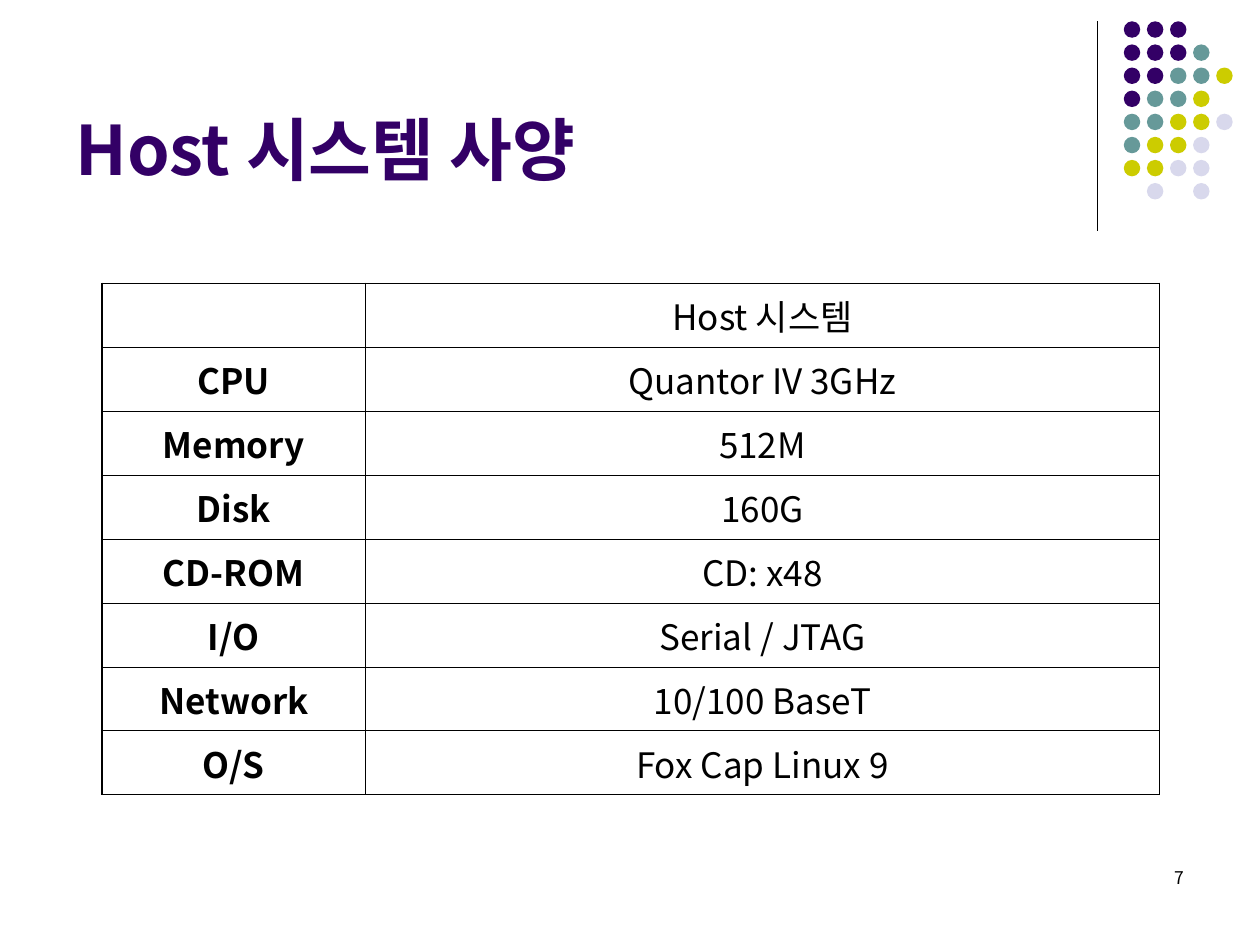
from pptx import Presentation
from pptx.dml.color import RGBColor
from pptx.enum import shapes, text
from pptx.oxml import ns
from pptx.util import Pt
from lxml import etree

FONT = "Noto Sans CJK KR"
BLACK = RGBColor(0, 0, 0)
PURPLE = RGBColor(0x33, 0x00, 0x66)
TEAL = RGBColor(0x66, 0x99, 0x99)
OLIVE = RGBColor(0xCC, 0xCC, 0x00)
LILAC = RGBColor(0xD8, 0xD8, 0xEC)

DOT_COLORS = {"P": PURPLE, "T": TEAL, "O": OLIVE, "L": LILAC}
DOT_ROWS = ["PPP", "PPPT", "PPTTO", "PTTO", "TTOOL", "TOOL", "OOLL", " L L"]

SPECS = [
    ("", "Host 시스템"),
    ("CPU", "Quantor IV 3GHz"),
    ("Memory", "512M"),
    ("Disk", "160G"),
    ("CD-ROM", "CD: x48"),
    ("I/O", "Serial / JTAG"),
    ("Network", "10/100 BaseT"),
    ("O/S", "Fox Cap Linux 9"),
]


def style_paragraph(paragraph, size, color, align, bold=False):
    """Set alignment and font, including the East Asian typeface."""
    paragraph.alignment = align
    font = paragraph.font
    font.size, font.bold, font.name = Pt(size), bold, FONT
    font.color.rgb = color
    defaults = paragraph._p.pPr.find(ns.qn("a:defRPr"))
    etree.SubElement(defaults, ns.qn("a:ea"), typeface=FONT)


def set_borders(cell, widths):
    """Draw black cell borders from a mapping of side to width in points."""
    properties = cell._tc.get_or_add_tcPr()
    for side, width in widths.items():
        line = etree.SubElement(properties, ns.qn(f"a:ln{side}"), w=str(Pt(width)))
        fill = etree.SubElement(line, ns.qn("a:solidFill"))
        etree.SubElement(fill, ns.qn("a:srgbClr"), val=str(BLACK))


def add_corner(slide, left, top, height):
    """Place the vertical rule and the dot pattern to its right."""
    rule = slide.shapes.add_connector(
        shapes.MSO_CONNECTOR.STRAIGHT, Pt(left), Pt(top), Pt(left), Pt(top + height))
    rule.line.color.rgb = BLACK
    rule.line.width = Pt(0.75)
    etree.SubElement(rule._element.spPr, ns.qn("a:effectLst"))

    diameter, pitch, gap = 9.4, 13.2, 15
    dots = slide.shapes.add_group_shape()
    for row, pattern in enumerate(DOT_ROWS):
        for column, key in enumerate(pattern):
            if key == " ":
                continue
            dot = dots.shapes.add_shape(
                shapes.MSO_SHAPE.OVAL, Pt(left + gap + column * pitch),
                Pt(top + row * pitch), Pt(diameter), Pt(diameter))
            dot.shadow.inherit = False
            dot.fill.solid()
            dot.fill.fore_color.rgb = DOT_COLORS[key]
            dot.line.fill.background()


def add_title(slide, left, top, width, height):
    """Fill and place the title placeholder."""
    title = slide.shapes.title
    title.left, title.top, title.width, title.height = map(
        Pt, (left, top, width, height))
    frame = title.text_frame
    frame.text = "Host 시스템 사양"
    frame.auto_size = text.MSO_AUTO_SIZE.NONE
    frame.vertical_anchor = text.MSO_ANCHOR.BOTTOM
    style_paragraph(frame.paragraphs[0], 39, PURPLE, text.PP_ALIGN.LEFT, True)


def add_specs(slide, left, top, width, height):
    """Place the table of host specifications."""
    label_width = 150.5
    thin, thick = 0.45, 1.08
    last = len(SPECS) - 1
    table = slide.shapes.add_table(
        len(SPECS), 2, Pt(left), Pt(top), Pt(width), Pt(height)).table
    table.first_row = table.horz_banding = False
    table.columns[0].width = Pt(label_width)
    table.columns[1].width = Pt(width - label_width)
    for row, entry in enumerate(SPECS):
        table.rows[row].height = Pt(height / len(SPECS))
        for column, wording in enumerate(entry):
            cell = table.cell(row, column)
            set_borders(cell, {
                "L": thick if column == 0 else thin,
                "R": thick if column == 1 else thin,
                "T": thick if row == 0 else thin,
                "B": thick if row == last else thin,
            })
            cell.fill.background()
            cell.vertical_anchor = text.MSO_ANCHOR.MIDDLE
            cell.text = wording
            style_paragraph(cell.text_frame.paragraphs[0], 20, BLACK,
                            text.PP_ALIGN.CENTER, column == 0)


def add_page_number(slide, left, top, width, height):
    """Place the page number at the right of its box."""
    number = slide.shapes.add_textbox(Pt(left), Pt(top), Pt(width), Pt(height))
    frame = number.text_frame
    frame.word_wrap = True
    frame.text = "7"
    style_paragraph(frame.paragraphs[0], 10, BLACK, text.PP_ALIGN.RIGHT)


def main():
    """Build and save the slide."""
    deck = Presentation()
    deck.slide_width, deck.slide_height = Pt(720), Pt(540)
    slide = deck.slides.add_slide(deck.slide_layouts[5])
    add_corner(slide, 627.2, 12.2, 119.6)
    add_page_number(slide, 516, 492, 168, 36)
    add_title(slide, 36, 9.4, 594, 102.2)
    add_specs(slide, 58.4, 162, 604.1, 292.3)
    deck.save("out.pptx")


if __name__ == "__main__":
    main()
